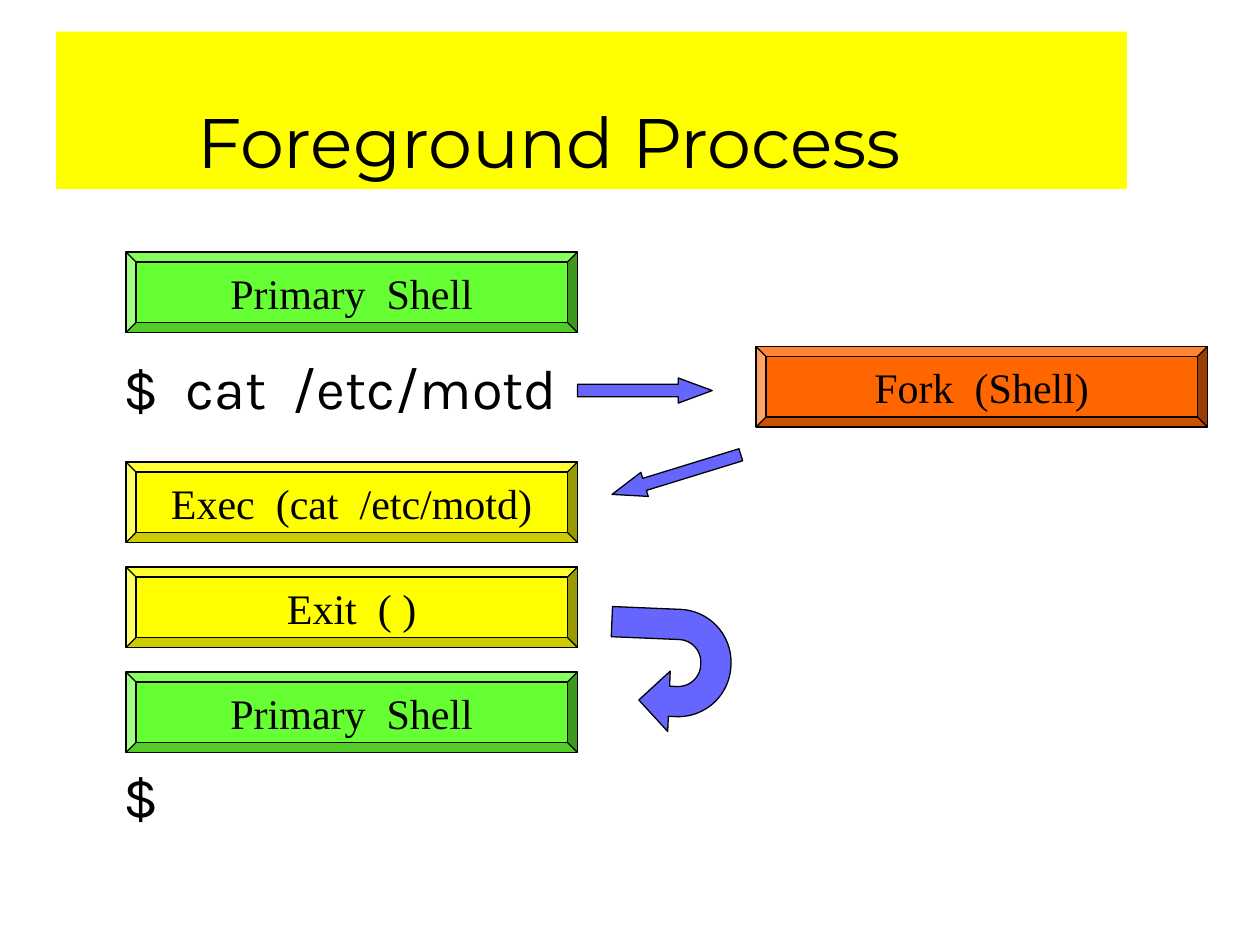
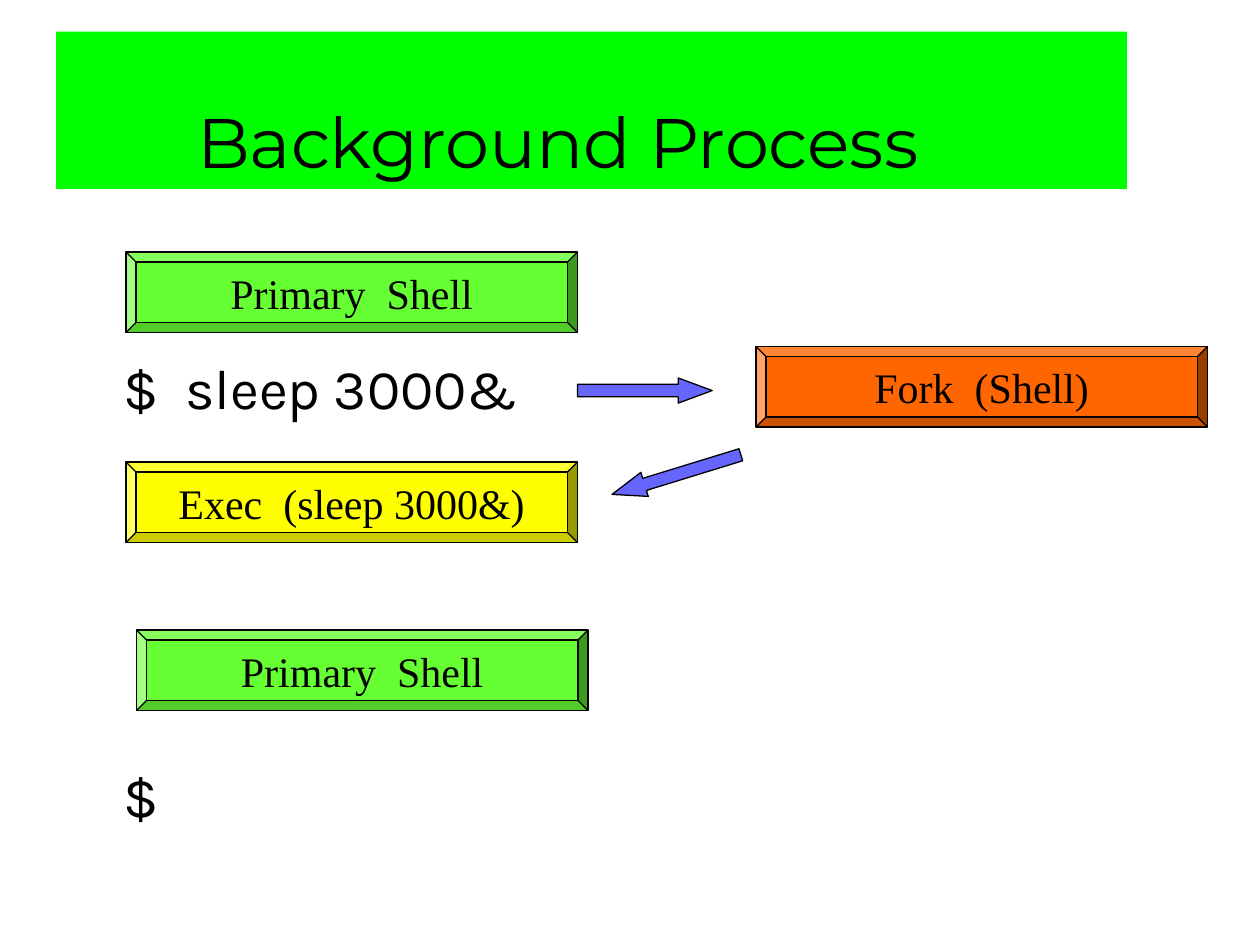
from pptx import Presentation
from pptx.dml.color import RGBColor
from pptx.enum.shapes import MSO_SHAPE
from pptx.enum.text import MSO_ANCHOR, PP_ALIGN
from pptx.util import Pt

BLACK, GREEN, ORANGE = "000000", "66FF33", "FF6600"
YELLOW, BLUE, LIME = "FFFF00", "6666FF", "00FF00"
LEFT, WIDE, HIGH = 72, 258, 46


def write(frame, text, font, size, align=PP_ALIGN.LEFT, anchor=MSO_ANCHOR.TOP,
          wrap=True, inset=7.2, top=3.6, gap=0):
    frame.word_wrap = wrap
    frame.vertical_anchor = anchor
    frame.margin_left, frame.margin_right = Pt(inset), Pt(7.2)
    frame.margin_top, frame.margin_bottom = Pt(top), Pt(3.6)
    frame.text = text
    for order, para in enumerate(frame.paragraphs):
        para.alignment = align
        para.space_before = Pt(gap if order else 0)
        para.font.name, para.font.size = font, Pt(size)
        para.font.color.rgb = RGBColor.from_string(BLACK)


def draw(slide, kind, box, fill, adjust=(), turn=0):
    shape = slide.shapes.add_shape(kind, *map(Pt, box))
    shape.shadow.inherit = False
    shape.fill.solid()
    shape.fill.fore_color.rgb = RGBColor.from_string(fill)
    shape.line.color.rgb = RGBColor.from_string(BLACK)
    shape.line.width = Pt(0.75)
    shape.rotation = turn
    for order, value in enumerate(adjust):
        shape.adjustments[order] = value
    return shape


deck = Presentation()
deck.slide_width, deck.slide_height = Pt(720), Pt(540)

shared = [("Primary  Shell", LEFT, 144, GREEN), ("Fork  (Shell)", 432, 198, ORANGE)]
pages = [
    ("Foreground Process", YELLOW, "$  cat  /etc/motd", [
        ("Exec  (cat  /etc/motd)", LEFT, 264, YELLOW),
        ("Exit  ( )", LEFT, 324, YELLOW),
        ("Primary  Shell", LEFT, 384, GREEN)]),
    ("Background Process", LIME, "$  sleep 3000&", [
        ("Exec  (sleep 3000&)", LEFT, 264, YELLOW),
        ("Primary  Shell", 78, 360, GREEN)]),
]

for name, band, prompt, steps in pages:
    slide = deck.slides.add_slide(deck.slide_layouts[5])
    title = slide.shapes.title
    title.left, title.top, title.width, title.height = map(Pt, (32, 18, 612, 90))
    title.fill.solid()
    title.fill.fore_color.rgb = RGBColor.from_string(band)
    write(title.text_frame, name, "Montserrat", 40,
          anchor=MSO_ANCHOR.BOTTOM, inset=80.6)

    body = slide.shapes.add_textbox(*map(Pt, (36, 148.5, 644, 328)))
    write(body.text_frame, prompt + "\n$", "Karla", 32, inset=34.6, top=53.5, gap=195)

    for label, left, top, fill in shared + steps:
        bevel = draw(slide, MSO_SHAPE.BEVEL, (left, top, WIDE, HIGH), fill, [0.125])
        write(bevel.text_frame, label, "Times New Roman", 24, align=PP_ALIGN.CENTER,
              anchor=MSO_ANCHOR.MIDDLE, wrap=False)

    for left, top, turn in [(330, 216, 0), (348, 264, 162.9)]:
        draw(slide, MSO_SHAPE.RIGHT_ARROW, (left, top, 77, 14.4), BLUE, [0.5, 1.35], turn)

    if name == "Foreground Process":
        draw(slide, MSO_SHAPE.U_TURN_ARROW, (348, 348.5, 70, 69), BLUE, turn=92.4)

deck.save("out.pptx")
